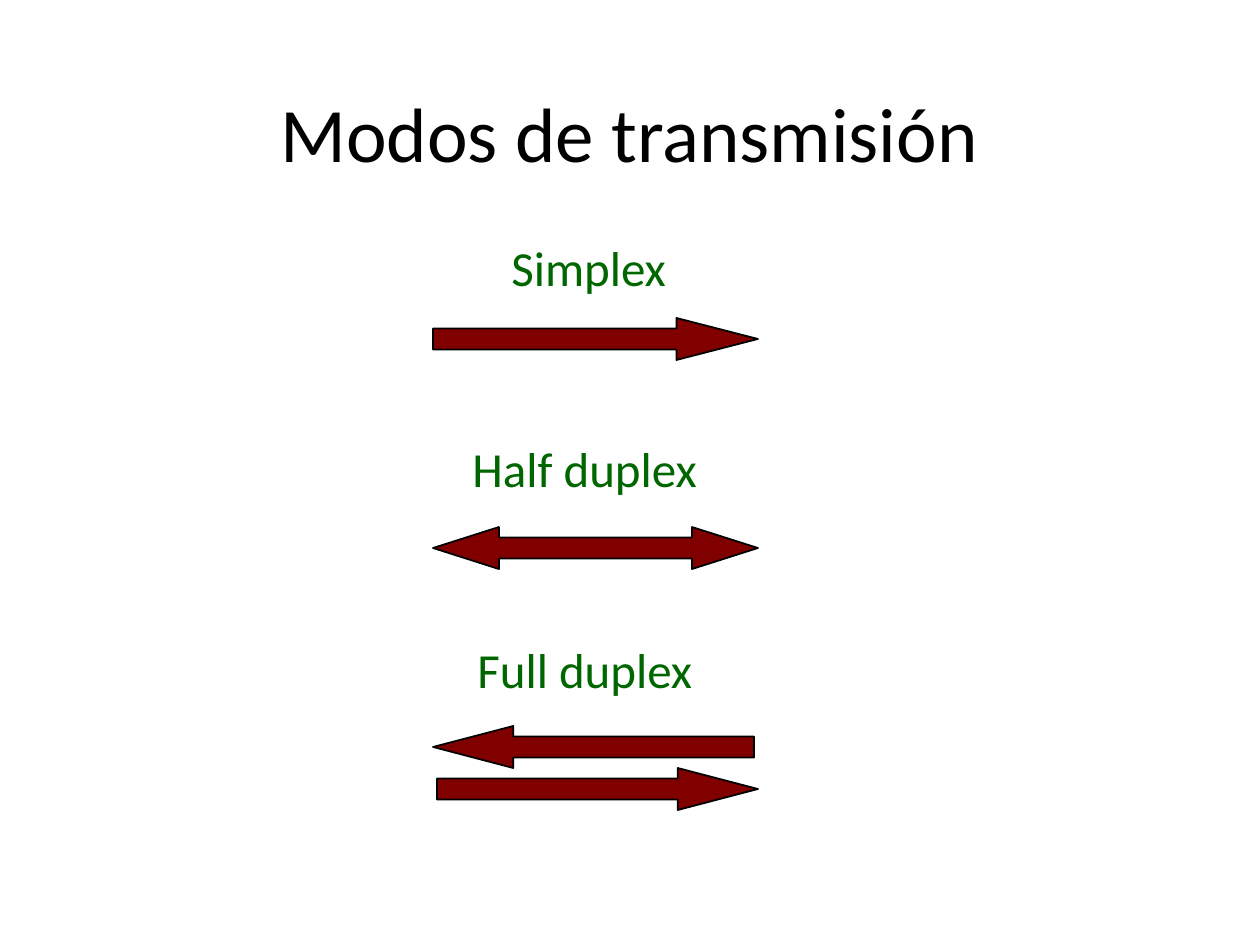
from dataclasses import dataclass

from pptx import Presentation
from pptx import util as u
from pptx.dml.color import RGBColor
from pptx.enum import shapes, text

TITLE = "Modos de transmisión"
RIGHT = shapes.MSO_SHAPE.RIGHT_ARROW
LEFT = shapes.MSO_SHAPE.LEFT_ARROW
BOTH = shapes.MSO_SHAPE.LEFT_RIGHT_ARROW

# label, label left, label width, arrows top, arrows as (kind, left, width, head)
MODES = [
    ("Simplex", 499, 194, 318, [(RIGHT, 433, 325, 1.94)]),
    ("Half duplex", 460, 272, 527, [(BOTH, 433, 325, 1.57)]),
    ("Full duplex", 465, 263, 726, [(LEFT, 433, 321, 1.91), (RIGHT, 437, 321, 1.91)]),
]
LABEL_TOP, LABEL_PITCH, LABEL_HEIGHT = 231, 201, 72
ARROW_HEIGHT = 42


@dataclass(frozen=True)
class Theme:
    font: str = "Calibri"
    title_size: int = 44
    label_size: int = 28
    title: RGBColor = RGBColor(0, 0, 0)
    label: RGBColor = RGBColor(0, 0x66, 0)
    arrow: RGBColor = RGBColor(0x80, 0, 0)
    outline: RGBColor = RGBColor(0, 0, 0)


THEME = Theme()


def px(*lengths):
    return [u.Emu(round(length * 914400 / 126)) for length in lengths]


def write(frame, words, size, color, alignment):
    frame.text = words
    paragraph = frame.paragraphs[0]
    paragraph.alignment = alignment
    font = paragraph.runs[0].font
    font.name, font.size, font.color.rgb = THEME.font, u.Pt(size), color


def add_title(slide):
    title = slide.shapes.title
    title.left, title.top, title.width, title.height = px(94, 53, 1071, 158)
    title.text_frame.vertical_anchor = text.MSO_ANCHOR.MIDDLE
    write(title.text_frame, TITLE, THEME.title_size, THEME.title, text.PP_ALIGN.CENTER)


def add_label(slide, words, left, top, width):
    label = slide.shapes.add_textbox(*px(left, top, width, LABEL_HEIGHT))
    frame = label.text_frame
    write(frame, words, THEME.label_size, THEME.label, text.PP_ALIGN.LEFT)
    frame.word_wrap = False
    frame.auto_size = text.MSO_AUTO_SIZE.SHAPE_TO_FIT_TEXT


def add_arrow(slide, kind, left, top, width, head):
    arrow = slide.shapes.add_shape(kind, *px(left, top, width, ARROW_HEIGHT))
    arrow.adjustments[0], arrow.adjustments[1] = 0.5, head
    arrow.shadow.inherit = False
    arrow.fill.solid()
    arrow.fill.fore_color.rgb = THEME.arrow
    arrow.line.color.rgb = THEME.outline
    arrow.line.width = u.Pt(1)


def main():
    presentation = Presentation()
    presentation.slide_width, presentation.slide_height = px(1260, 945)
    slide = presentation.slides.add_slide(presentation.slide_layouts[5])
    add_title(slide)
    for row, (words, left, width, arrows_top, arrows) in enumerate(MODES):
        add_label(slide, words, left, LABEL_TOP + row * LABEL_PITCH, width)
        for index, (kind, arrow_left, arrow_width, head) in enumerate(arrows):
            top = arrows_top + index * ARROW_HEIGHT
            add_arrow(slide, kind, arrow_left, top, arrow_width, head)
    presentation.save("out.pptx")


if __name__ == "__main__":
    main()
